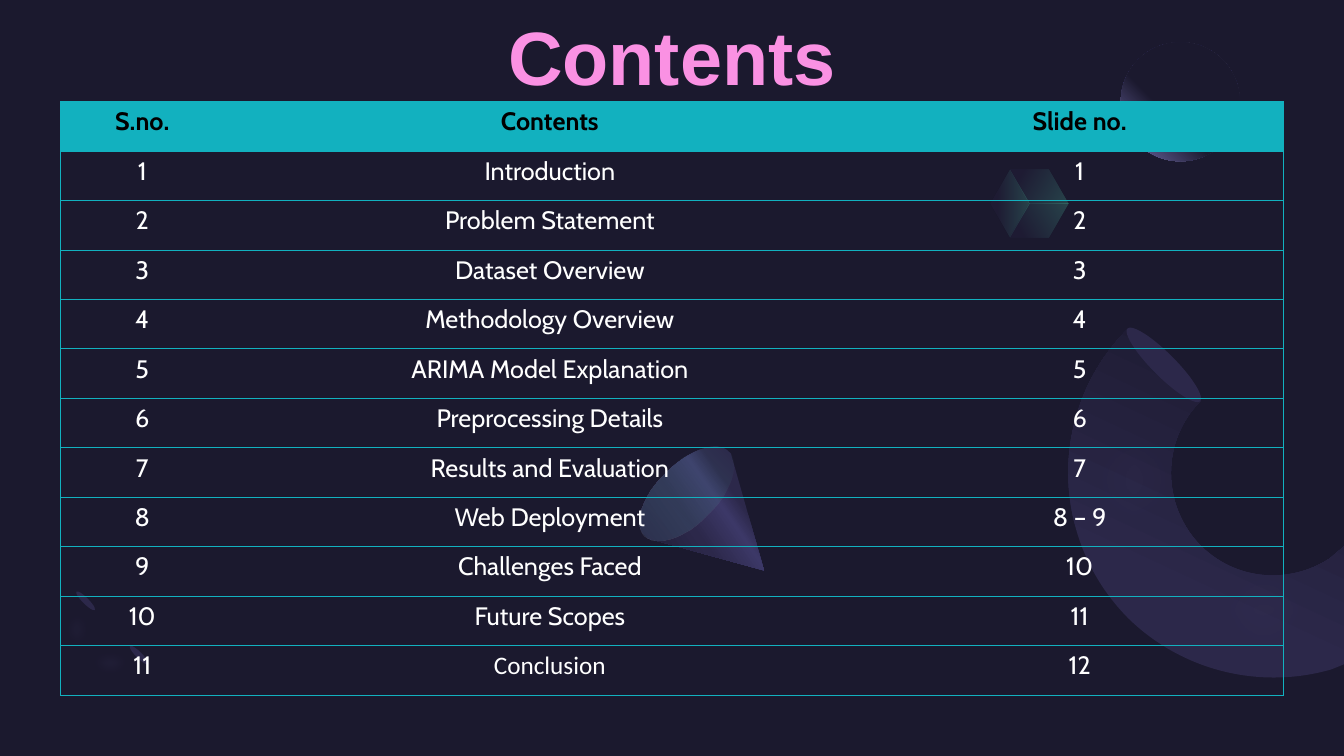
from dataclasses import dataclass
from math import cos, radians, sin

from lxml import etree
from pptx import Presentation
from pptx.dml.color import RGBColor
from pptx.enum.shapes import MSO_SHAPE
from pptx.enum.text import MSO_ANCHOR, PP_ALIGN
from pptx.oxml.ns import qn
from pptx.util import Pt

OVAL = MSO_SHAPE.OVAL
BOTTOM = MSO_ANCHOR.BOTTOM
CENTER = PP_ALIGN.CENTER


@dataclass(frozen=True)
class Theme:
    bg: str = "1B192E"
    shade: str = "2C284A"
    ridge: str = "3C3867"
    violet: str = "454075"
    lilac: str = "7771B2"
    mint: str = "5BEFC1"
    teal: str = "12B1BF"
    pink: str = "FA91E3"
    black: str = "000000"
    white: str = "FFFFFF"
    title_font: str = "Arial"
    table_font: str = "Cabin"
    alt_font: str = "Calibri"
    title_size: int = 54
    table_size: int = 18
    rule: float = 0.5


T = Theme()
TOPICS = [
    ("Introduction", "1"),
    ("Problem Statement", "2"),
    ("Dataset Overview", "3"),
    ("Methodology Overview", "4"),
    ("ARIMA Model Explanation", "5"),
    ("Preprocessing Details", "6"),
    ("Results and Evaluation", "7"),
    ("Web Deployment", "8 – 9"),
    ("Challenges Faced", "10"),
    ("Future Scopes", "11"),
    ("Conclusion", "12"),
]


def sub(parent, tag, **attrs):
    el = etree.SubElement(parent, qn(tag))
    for name, value in attrs.items():
        el.set(name, str(value))
    return el


def add_color(parent, color, opacity=100):
    clr = sub(parent, "a:srgbClr", val=color)
    if opacity < 100:
        sub(clr, "a:alpha", val=opacity * 1000)


def paint(sp, stops, angle=None, soft=0):
    """Fill with (position, colour, opacity) stops: one is solid, more a gradient, circular without an angle."""
    sp.line.fill.background()
    sp.shadow.inherit = False
    sp.fill.background()
    pr = sp._element.spPr
    old = pr.find(qn("a:noFill"))
    if len(stops) == 1:
        fill = etree.Element(qn("a:solidFill"))
        add_color(fill, *stops[0][1:])
    else:
        fill = etree.Element(qn("a:gradFill"), rotWithShape="1")
        gs_list = sub(fill, "a:gsLst")
        for pos, *color in stops:
            add_color(sub(gs_list, "a:gs", pos=pos * 1000), *color)
        if angle is None:
            way = sub(fill, "a:path", path="circle")
            sub(way, "a:fillToRect", l=100000, b=100000)
        else:
            sub(fill, "a:lin", ang=angle * 60000, scaled=0)
    pr.replace(old, fill)
    if soft:
        sub(pr.find(qn("a:effectLst")), "a:softEdge", rad=Pt(soft))


def add_oval(s, x, y, w, h, rotation, stops, angle=None):
    sp = s.shapes.add_shape(OVAL, Pt(x), Pt(y), Pt(w), Pt(h))
    sp.rotation = rotation
    paint(sp, stops, angle)


def add_outline(s, x, y, start, steps, stops, angle=None, soft=0):
    """Draw a closed outline; a step is a corner (x, y) or a Bezier (x1, y1, x2, y2, x3, y3)."""
    pts = [start] + [step[i:i + 2] for step in steps for i in range(0, len(step), 2)]
    pts = [(Pt(x + px), Pt(y + py)) for px, py in pts]
    fb = s.shapes.build_freeform(*pts[0], scale=1.0)
    fb.add_line_segments(pts[1:], close=True)
    sp = fb.convert_to_shape()
    lines = iter(list(sp._element.iter(qn("a:lnTo"))))
    for step in steps:
        first = next(lines)
        if len(step) == 6:
            first.tag = qn("a:cubicBezTo")
            for line in (next(lines), next(lines)):
                first.append(line[0])
                line.getparent().remove(line)
    paint(sp, stops, angle, soft)


def add_small_arc(s, x, y):
    for dx, dy in ((57.2, 43.6), (19, 4.8)):
        add_oval(s, x + dx, y + dy, 4.3, 18.7, 135, [(0, T.shade)])
    add_outline(s, x, y, (14.7, 59.5), [
        (0.3, 45.1, 1.8, 20.6, 18.3, 4), (31.3, 17),
        (22.6, 24.9, 21.9, 37.9, 29.1, 44.4), (36.3, 51.6, 48.6, 50.8, 57.2, 42.9),
        (69.4, 55.9), (53.6, 71.7, 28.4, 73.9, 14.7, 59.5),
    ], [(0, T.lilac, 20)], soft=8)


def add_cube(s, x, y, radius):
    """Three rhombic faces of a hexagon centred on x, y."""
    rim = [(radius * cos(radians(a)), radius * sin(radians(a))) for a in range(0, 360, 60)]
    for first, angle in ((4, 30), (2, 0), (0, 330)):
        face = [rim[(first + i) % 6] for i in range(3)]
        add_outline(s, x, y, (0, 0), face, [(20, T.shade, 20), (100, T.mint, 20)], angle)


def add_ring(s, x, y):
    add_outline(s, x, y, (45.7, 24.7), [
        (-11.2, 81.6, -11.2, 173.8, 45.7, 231.4), (85.3, 270.2, 141.4, 282.5, 191.1, 268.1),
        (200, 264.5), (200, 180.2), (189.7, 188.9),
        (160.9, 207.6, 122.7, 204.7, 97.5, 179.5), (69.4, 150.7, 69.4, 104.6, 97.5, 76.6),
    ], [(31, T.shade), (97, T.bg)], 295)
    add_outline(s, x, y, (63.7, 5.3), [
        (-3.3, 72.2, -11.2, 172.3, 45.7, 229.2), (81.7, 265.2, 134.2, 275.3, 184.6, 261.6),
        (199, 257.3), (199, 175.2), (197.6, 175.9),
        (166.6, 193.9, 129.2, 192.5, 106.2, 168.7), (78.1, 140.6, 81.7, 90.2, 114.8, 57.1),
    ], [(0, T.lilac, 40)], soft=35)
    add_oval(s, x + 63, y + 13.9, 16.6, 73.4, 135, [(0, T.shade)])


def add_cone(s, x, y):
    add_outline(s, x, y, (105.8, 97.5), [
        (25.1, 75.2), (23, 74.5, 21.5, 73.8, 20.8, 72.3), (12.2, 64.4, 18.6, 44.2, 35.9, 27.7),
        (52.5, 11.1, 72.6, 3.9, 80.6, 12.6), (82, 13.3, 82.7, 14.7, 82.7, 16.2),
    ], [(30, T.shade), (40, T.ridge), (60, T.shade), (100, T.bg)], 145)
    add_oval(s, x + 29.4, y + 0.3, 42.5, 85, 225, [(0, T.violet, 33), (100, T.mint, 0)], 90)


def write(p, text, **fmt):
    p.alignment = CENTER
    r = p.add_run()
    r.text = text
    r.font.color.rgb = RGBColor.from_string(fmt.pop("color"))
    for name, value in fmt.items():
        setattr(r.font, name, value)


def add_title(s, x, y, w, h):
    tf = s.shapes.add_textbox(Pt(x), Pt(y), Pt(w), Pt(h)).text_frame
    settings = dict(word_wrap=True, vertical_anchor=BOTTOM,
                    margin_left=0, margin_right=0, margin_top=0, margin_bottom=0)
    for name, value in settings.items():
        setattr(tf, name, value)
    p = tf.paragraphs[0]
    p.line_spacing = 0.9
    write(p, "Contents", name=T.title_font, size=Pt(T.title_size), bold=True, color=T.pink)


def set_borders(cell, sides):
    """Rule the given sides and leave the others open."""
    tc_pr = cell._tc.get_or_add_tcPr()
    for i, side in enumerate("LRTB"):
        ln = etree.Element(qn("a:ln" + side), w=str(Pt(T.rule)))
        if side in sides:
            add_color(sub(ln, "a:solidFill"), T.teal)
        else:
            sub(ln, "a:noFill")
        tc_pr.insert(i, ln)


def add_contents_table(s, x, y, w, h):
    rows = [("S.no.", "Contents", "Slide no.")]
    rows += [(str(n), *topic) for n, topic in enumerate(TOPICS, 1)]
    table = s.shapes.add_table(len(rows), 3, Pt(x), Pt(y), Pt(w), Pt(h)).table
    for col, share in zip(table.columns, (2, 8, 5)):
        col.width = Pt(w * share / 15)
    for i, row in enumerate(rows):
        table.rows[i].height = Pt(h / len(rows))
        for j, text in enumerate(row):
            cell = table.cell(i, j)
            if i == 0:
                cell.fill.solid()
                cell.fill.fore_color.rgb = RGBColor.from_string(T.teal)
            else:
                cell.fill.background()
            set_borders(cell, ("LTB", "TB", "RTB")[j])
            write(cell.text_frame.paragraphs[0], text, size=Pt(T.table_size), bold=i == 0,
                  name=T.alt_font if text == "Conclusion" else T.table_font,
                  color=T.white if i else T.black)


def main():
    prs = Presentation()
    prs.slide_width, prs.slide_height = Pt(960), Pt(540)
    s = prs.slides.add_slide(prs.slide_layouts[6])
    s.background.fill.solid()
    s.background.fill.fore_color.rgb = RGBColor.from_string(T.bg)
    add_small_arc(s, 40, 415)
    add_cube(s, 735.5, 145.5, 28)
    add_oval(s, 800.6, 30.2, 85, 85, 0, [(60, T.bg), (100, T.lilac)])
    add_ring(s, 760, 210)
    add_cone(s, 440, 310)
    add_title(s, 43.2, 0, 873.4, 72.7)
    add_contents_table(s, 43.4, 72.5, 873.4, 424)
    prs.save("out.pptx")


if __name__ == "__main__":
    main()
